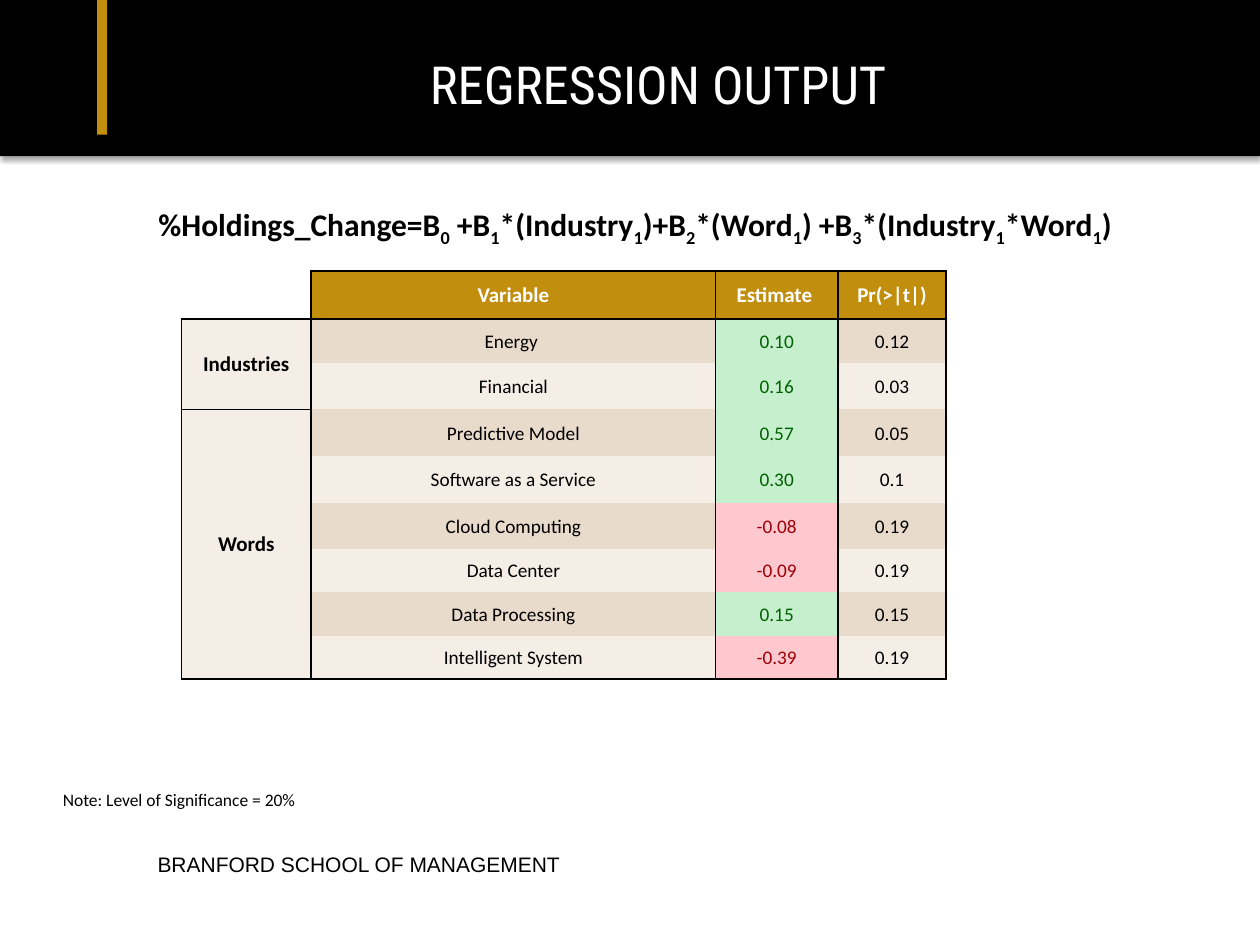
from dataclasses import dataclass

from lxml import etree
from pptx import Presentation
from pptx import util as u
from pptx.dml.color import RGBColor
from pptx.enum import shapes, text
from pptx.oxml.ns import qn


@dataclass(frozen=True)
class Theme:
    black: str = "000000"
    white: str = "FFFFFF"
    gold: str = "C28E0E"
    tan: str = "E9DBCC"
    cream: str = "F4EEE7"
    gain: tuple = ("C6EFCE", "006100")
    loss: tuple = ("FFC7CE", "9C0006")
    body_font: str = "Calibri"
    title_font: str = "Roboto Condensed"
    footer_font: str = "Arial"
    title: int = 30
    formula: int = 18
    heading: int = 12
    cell: int = 11
    note: int = 10


def apply(target, values):
    for name, value in values.items():
        setattr(target, name, value)


class SlideBuilder:
    def __init__(self, slide, theme):
        self.slide = slide
        self.theme = theme

    def add_span(self, para, wording, size, color=None, font=None, bold=False, baseline=0):
        span = para.add_run()
        span.text = wording
        apply(span.font, {"size": u.Pt(size), "bold": bold,
                          "name": font or self.theme.body_font})
        span.font.color.rgb = RGBColor.from_string(color or self.theme.black)
        if baseline:
            span._r.get_or_add_rPr().set("baseline", str(baseline * 1000))

    def bar(self, left, top, width, height, color):
        bar = self.slide.shapes.add_shape(
            shapes.MSO_SHAPE.RECTANGLE, *map(u.Inches, (left, top, width, height)))
        bar.fill.solid()
        bar.fill.fore_color.rgb = RGBColor.from_string(color)
        bar.line.fill.background()
        bar.shadow.inherit = False
        effects = bar._element.spPr.find(qn("a:effectLst"))
        shadow = etree.SubElement(effects, qn("a:outerShdw"), blurRad=str(u.Pt(3.1)),
                                  dist=str(u.Pt(1.8)), dir="5400000", rotWithShape="0")
        tint = etree.SubElement(shadow, qn("a:srgbClr"), val=self.theme.black)
        etree.SubElement(tint, qn("a:alpha"), val="35000")

    def textbox(self, left, top, width, height, pieces, size, frame=None,
                align=text.PP_ALIGN.LEFT, **style):
        box = self.slide.shapes.add_textbox(*map(u.Inches, (left, top, width, height)))
        apply(box.text_frame, {"word_wrap": True, **(frame or {})})
        para = box.text_frame.paragraphs[0]
        para.alignment = align
        for index, piece in enumerate(pieces):
            self.add_span(para, piece, size, baseline=-25 * (index % 2), **style)

    def table(self, left, top, widths, heights):
        frame = self.slide.shapes.add_table(
            len(heights), len(widths),
            *map(u.Inches, (left, top, sum(widths), sum(heights))))
        table = frame.table
        apply(table, {"first_row": False, "horz_banding": False})
        for column, width in zip(table.columns, widths):
            column.width = u.Inches(width)
        for row, height in zip(table.rows, heights):
            row.height = u.Inches(height)
        return table

    def borders(self, cell, edges):
        properties = cell._tc.get_or_add_tcPr()
        for edge in "LRTB":
            line = etree.SubElement(properties, qn("a:ln" + edge), w=str(u.Pt(1)))
            if edge in edges:
                fill = etree.SubElement(line, qn("a:solidFill"))
                etree.SubElement(fill, qn("a:srgbClr"), val=self.theme.black)
            else:
                etree.SubElement(line, qn("a:noFill"))

    def cell(self, cell, wording, edges, fill=None, size=None, **style):
        inset = u.Inches(0.01)
        apply(cell, {"margin_left": inset, "margin_right": inset, "margin_top": inset,
                     "margin_bottom": 0, "vertical_anchor": text.MSO_ANCHOR.MIDDLE})
        self.borders(cell, edges)
        if fill:
            cell.fill.solid()
            cell.fill.fore_color.rgb = RGBColor.from_string(fill)
        else:
            cell.fill.background()
        if wording:
            para = cell.text_frame.paragraphs[0]
            para.alignment = text.PP_ALIGN.CENTER
            self.add_span(para, wording, size or self.theme.cell, **style)


HEADINGS = ["Variable", "Estimate ", "Pr(>|t|)"]
GROUPS = {
    "Industries": [("Energy ", "0.10", "0.12"), ("Financial", "0.16", "0.03")],
    "Words": [
        ("Predictive Model", "0.57", "0.05"),
        ("Software as a Service", "0.30", "0.1"),
        ("Cloud Computing", "-0.08", "0.19"),
        ("Data Center", "-0.09", "0.19"),
        ("Data Processing", "0.15", "0.15"),
        ("Intelligent System", "-0.39", "0.19"),
    ],
}
FORMULA = ["%Holdings_Change=B", "0", " +B", "1", "*(Industry", "1", ")+B", "2",
           "*(Word", "1", ") +B", "3", "*(Industry", "1", "*Word", "1", ")"]


def regression_table(builder):
    theme = builder.theme
    table = builder.table(1.44, 2.15, [1.03, 3.21, 0.97, 0.86],
                          [0.38, 0.35, 0.37, 0.37, 0.37, 0.37, 0.34, 0.35, 0.34])
    last = len(table.rows) - 1
    builder.cell(table.cell(0, 0), "", "RB")
    for column, heading in enumerate(HEADINGS, 1):
        builder.cell(table.cell(0, column), heading, "LRTB", theme.gold,
                     theme.heading, color=theme.white, bold=True)
    row = 1
    for group, records in GROUPS.items():
        first = row
        for record in records:
            builder.cell(table.cell(row, 0), group if row == first else "", "LRTB",
                         theme.cream, theme.heading, bold=True)
            band = theme.tan if row % 2 else theme.cream
            edges = "LR" + "T" * (row == 1) + "B" * (row == last)
            estimate = theme.loss if float(record[1]) < 0 else theme.gain
            looks = [(band, theme.black), estimate, (band, theme.black)]
            for column, (wording, (fill, color)) in enumerate(zip(record, looks), 1):
                builder.cell(table.cell(row, column), wording, edges, fill, color=color)
            row += 1
        table.cell(first, 0).merge(table.cell(row - 1, 0))


def main():
    deck = Presentation()
    apply(deck, {"slide_width": u.Inches(10), "slide_height": u.Inches(7.5)})
    theme = Theme()
    builder = SlideBuilder(deck.slides.add_slide(deck.slide_layouts[6]), theme)
    flush = {"margin_left": 0, "margin_right": 0, "margin_top": 0, "margin_bottom": 0,
             "vertical_anchor": text.MSO_ANCHOR.MIDDLE}
    grow = {"auto_size": text.MSO_AUTO_SIZE.SHAPE_TO_FIT_TEXT}

    builder.bar(0, 0, 10, 1.24, theme.black)
    builder.bar(0.77, 0, 0.08, 1.07, theme.gold)
    builder.textbox(1.25, 6.73, 5.52, 0.25, ["BRANFORD SCHOOL OF MANAGEMENT"],
                    theme.heading, flush, font=theme.footer_font)
    builder.textbox(1.44, 0.37, 7.57, 0.58, ["REGRESSION OUTPUT"], theme.title, flush,
                    text.PP_ALIGN.CENTER, font=theme.title_font, color=theme.white)
    regression_table(builder)
    builder.textbox(1.16, 1.58, 8.07, 0.4, FORMULA, theme.formula, grow, bold=True)
    builder.textbox(0.4, 6.21, 8.42, 0.27, ["Note: Level of Significance = 20%"],
                    theme.note, grow)
    deck.save("out.pptx")


if __name__ == "__main__":
    main()
